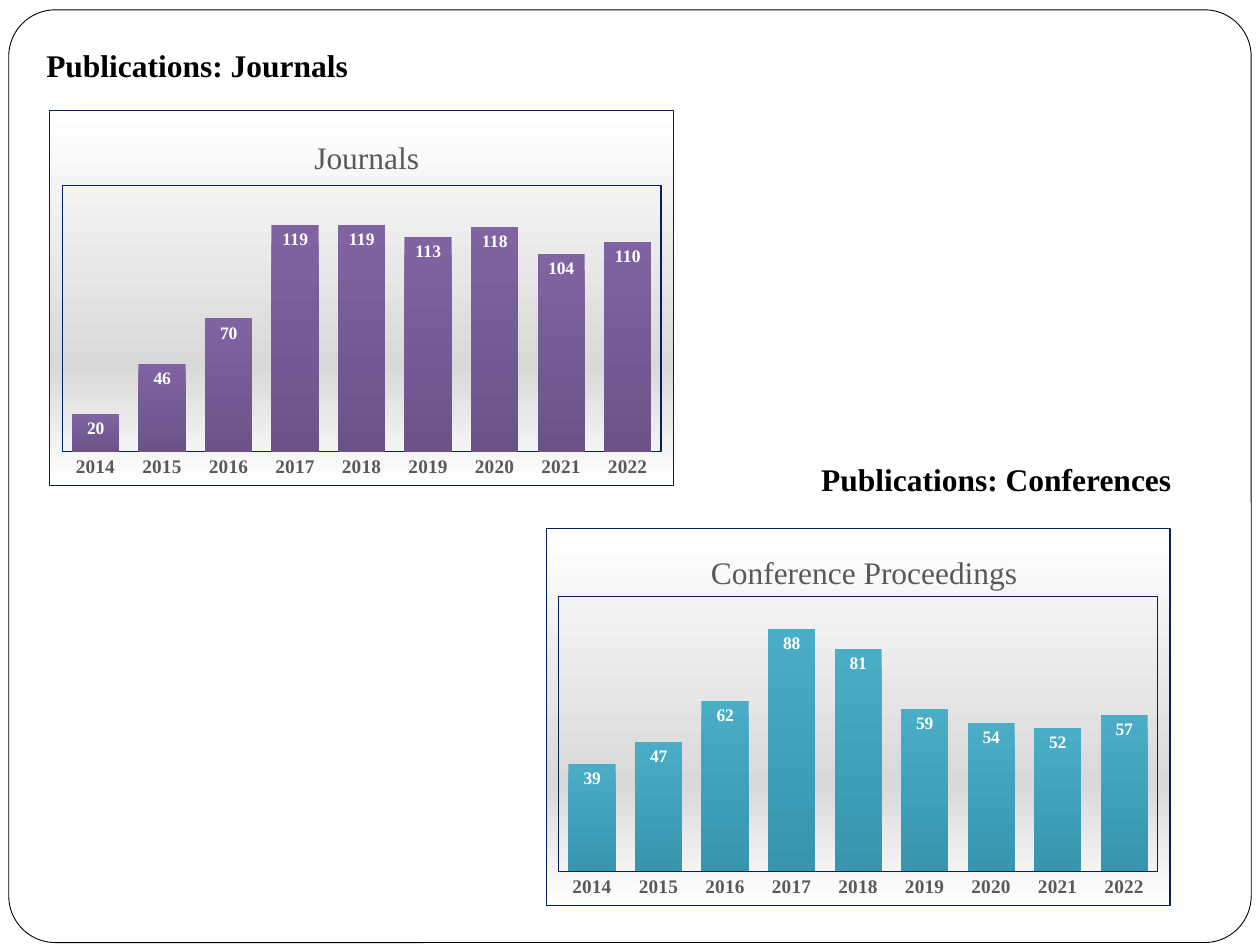
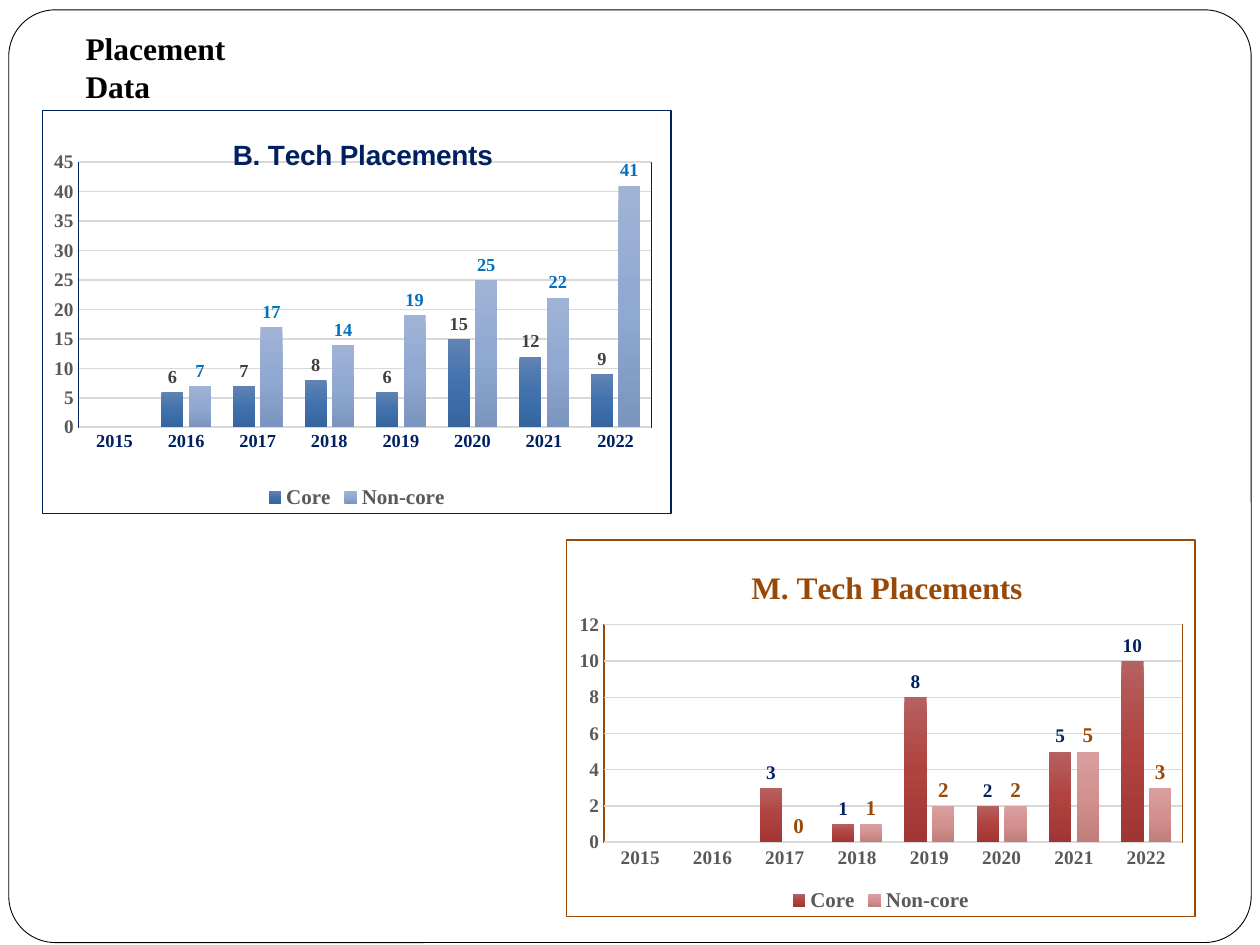
from dataclasses import dataclass
from typing import NamedTuple

from lxml import etree
from pptx import Presentation
from pptx.chart.data import CategoryChartData
from pptx.dml.color import RGBColor
from pptx.enum.chart import XL_CHART_TYPE as ChartType
from pptx.enum.chart import XL_LABEL_POSITION as LabelPosition
from pptx.enum.chart import XL_LEGEND_POSITION as LegendPosition
from pptx.enum.chart import XL_TICK_MARK as TickMark
from pptx.enum.shapes import MSO_SHAPE as Shape
from pptx.oxml import parse_xml
from pptx.oxml.ns import qn
from pptx.util import Pt


@dataclass(frozen=True)
class Theme:
    serif: str = "Times New Roman"
    sans: str = "Arial"
    black: str = "000000"
    white: str = "FFFFFF"
    grey: str = "595959"
    dark: str = "404040"
    grid: str = "D9D9D9"
    navy: str = "002060"
    blue: str = "0070C0"
    brown: str = "984807"
    heading: float = 18
    chart_title: float = 18
    small_title: float = 16
    legend: float = 12
    axis: float = 11
    label: float = 10
    placement_label: float = 10.5
    backdrop: tuple = ((0, "FFFFFF"), (68, "D9D9D9"), (100, "FFFFFF"))
    purple: tuple = ((0, "8064A2"), (100, "6B538A"))
    teal: tuple = ((0, "4BACC6"), (100, "3795AE"))
    core_blue: tuple = ((0, "6183B3"), (50, "4172AD"), (100, "36659E"))
    other_blue: tuple = ((0, "A0B3D5"), (50, "90A9D2"), (100, "7C95BE"))
    core_red: tuple = ((0, "B56160"), (50, "B0423F"), (100, "A03634"))
    other_red: tuple = ((0, "D7A09F"), (50, "D4908F"), (100, "C07D7B"))


class Box(NamedTuple):
    left: float
    top: float
    width: float
    height: float

    def points(self):
        return [Pt(length) for length in self]


class Title(NamedTuple):
    text: str
    x: float
    y: float
    color: str
    size: float
    bold: bool = False
    font: str = "Times New Roman"


class Bars(NamedTuple):
    name: str
    values: tuple
    stops: tuple
    label_color: str
    label_size: float


THEME = Theme()
SLIDE = Box(0, 0, 720, 540)
NAMESPACES = (
    'xmlns:a="http://schemas.openxmlformats.org/drawingml/2006/main" '
    'xmlns:c="http://schemas.openxmlformats.org/drawingml/2006/chart"'
)


def style_font(font, size, color, bold=True, name=THEME.serif):
    font.size = Pt(size)
    font.bold = bold
    font.name = name
    font.color.rgb = RGBColor.from_string(color)


def gradient_xml(stops):
    marks = "".join(
        f'<a:gs pos="{position * 1000}"><a:srgbClr val="{color}"/></a:gs>'
        for position, color in stops
    )
    return (f'<a:gradFill {NAMESPACES}><a:gsLst>{marks}</a:gsLst>'
            '<a:lin ang="5400000" scaled="0"/></a:gradFill>')


def area_format(fill_xml, border):
    return parse_xml(
        f'<c:spPr {NAMESPACES}>{fill_xml}<a:ln w="9525"><a:solidFill>'
        f'<a:srgbClr val="{border}"/></a:solidFill></a:ln></c:spPr>'
    )


def set_layout(parent, index, inner=False, **fractions):
    """Give a chart part a manual layout, in fractions of the chart."""
    for layout in parent.findall(qn("c:layout")):
        parent.remove(layout)
    layout = etree.Element(qn("c:layout"))
    manual = etree.SubElement(layout, qn("c:manualLayout"))
    if inner:
        etree.SubElement(manual, qn("c:layoutTarget"), val="inner")
    for side in "xy":
        etree.SubElement(manual, qn(f"c:{side}Mode"), val="edge")
    for side, fraction in fractions.items():
        etree.SubElement(manual, qn(f"c:{side}"), val=str(fraction))
    parent.insert(index, layout)


def add_frame(slide, box):
    frame = slide.shapes.add_shape(
        Shape.ROUNDED_RECTANGLE,
        *Box(box.left + 5, box.top + 5.6, box.width - 10, box.height - 7).points())
    frame.adjustments[0] = 0.05
    frame.shadow.inherit = False
    frame.fill.solid()
    frame.fill.fore_color.rgb = RGBColor.from_string(THEME.white)
    frame.line.color.rgb = RGBColor.from_string(THEME.black)
    frame.line.width = Pt(0.5)


def add_heading(slide, box, text, wrap=False):
    text_frame = slide.shapes.add_textbox(*box.points()).text_frame
    text_frame.word_wrap = wrap
    text_frame.text = text
    style_font(text_frame.paragraphs[0].runs[0].font, THEME.heading, THEME.black)


def add_column_chart(slide, box, title, categories, bars, plot_box, border,
                     gap, overlap=0, backdrop=None):
    """Place a framed column chart with a title; return the chart."""
    data = CategoryChartData()
    data.categories = categories
    for group in bars:
        data.add_series(group.name, group.values)
    chart = slide.shapes.add_chart(
        ChartType.COLUMN_CLUSTERED, *box.points(), data).chart
    style_font(chart.font, THEME.label, THEME.black, False)
    chart.has_legend = False

    # Title
    text_frame = chart.chart_title.text_frame
    text_frame.text = title.text
    style_font(text_frame.paragraphs[0].runs[0].font,
               title.size, title.color, title.bold, title.font)
    set_layout(chart.chart_title._element, 1, x=title.x, y=title.y)

    # Columns and their values
    plot = chart.plots[0]
    plot.gap_width = gap
    plot.overlap = overlap
    plot.vary_by_categories = False
    for series, group in zip(plot.series, bars):
        series.invert_if_negative = False
        series._element.get_or_add_spPr().append(
            parse_xml(gradient_xml(group.stops)))
        labels = series.data_labels
        labels.show_value = True
        labels.position = (LabelPosition.INSIDE_END if len(bars) == 1
                           else LabelPosition.OUTSIDE_END)
        style_font(labels.font, group.label_size, group.label_color)

    # Axes
    for axis in (chart.category_axis, chart.value_axis):
        axis.major_tick_mark = axis.minor_tick_mark = TickMark.NONE
        axis.format.line.fill.background()
        axis.has_major_gridlines = False
        style_font(axis.tick_labels.font, THEME.axis, THEME.grey)
    chart.value_axis.minimum_scale = 0

    # Chart and plot areas
    plot_area = chart._chartSpace.chart.plotArea
    set_layout(plot_area, 0, inner=True, **plot_box)
    plot_area.append(area_format("<a:noFill/>", border))
    fill = (gradient_xml(backdrop) if backdrop else
            f'<a:solidFill><a:srgbClr val="{THEME.white}"/></a:solidFill>')
    chart._chartSpace.chart.addnext(area_format(fill, border))
    return chart


def add_publication_chart(slide, box, title, values, stops, plot_box, maximum):
    bars = [Bars("Series 1", values, stops, THEME.white, THEME.label)]
    years = [str(year) for year in range(2014, 2023)]
    chart = add_column_chart(slide, box, title, years, bars, plot_box,
                             THEME.navy, 41, backdrop=THEME.backdrop)
    chart.value_axis.maximum_scale = maximum
    chart.value_axis.visible = False


def add_placement_chart(slide, box, title, bars, plot_box, maximum, step):
    years = [str(year) for year in range(2015, 2023)]
    chart = add_column_chart(slide, box, title, years, bars, plot_box,
                             title.color, 100, overlap=-24)
    grid_color = RGBColor.from_string(THEME.grid)
    value_axis = chart.value_axis
    value_axis.maximum_scale = maximum
    value_axis.major_unit = step
    value_axis.has_major_gridlines = True
    for line, width in ((value_axis.major_gridlines.format.line, 0.75),
                        (chart.category_axis.format.line, 1)):
        line.color.rgb = grid_color
        line.width = Pt(width)
    chart.has_legend = True
    chart.legend.position = LegendPosition.BOTTOM
    chart.legend.include_in_layout = False
    style_font(chart.legend.font, THEME.legend, THEME.grey)
    return chart


def build_publications(slide):
    add_frame(slide, SLIDE)
    add_heading(slide, Box(19.4, 23, 187.2, 28.8), "Publications: Journals")
    add_heading(slide, Box(462.2, 259.2, 217.4, 28.8), "Publications: Conferences")
    add_publication_chart(
        slide, Box(28.1, 62.6, 357.1, 215.3),
        Title("Journals", 0.415, 0.06, THEME.grey, THEME.chart_title),
        (20, 46, 70, 119, 119, 113, 118, 104, 110), THEME.purple,
        dict(x=0.02, y=0.2, w=0.96, h=0.71), 140)
    add_publication_chart(
        slide, Box(311.8, 301.7, 357.1, 216),
        Title("Conference Proceedings", 0.255, 0.05, THEME.grey, THEME.chart_title),
        (39, 47, 62, 88, 81, 59, 54, 52, 57), THEME.teal,
        dict(x=0.02, y=0.18, w=0.96, h=0.73), 100)


def build_placements(slide):
    add_frame(slide, SLIDE)
    add_heading(slide, Box(41.8, 13, 130, 28.8), "Placement Data", wrap=True)
    bachelor = add_placement_chart(
        slide, Box(23.8, 62.6, 360, 231.1),
        Title("B. Tech Placements", 0.295, 0.055, THEME.navy,
              THEME.small_title, True, THEME.sans),
        [Bars("Core", (None, 6, 7, 8, 6, 15, 12, 9), THEME.core_blue,
              THEME.dark, THEME.placement_label),
         Bars("Non-core", (None, 7, 17, 14, 19, 25, 22, 41), THEME.other_blue,
              THEME.blue, THEME.placement_label)],
        dict(x=0.058, y=0.129, w=0.911, h=0.658), 45, 5)
    style_font(bachelor.category_axis.tick_labels.font,
               THEME.placement_label, THEME.navy)
    add_placement_chart(
        slide, Box(323.3, 308.2, 360, 216),
        Title("M. Tech Placements", 0.285, 0.06, THEME.brown,
              THEME.chart_title, True),
        [Bars("Core", (None, None, 3, 1, 8, 2, 5, 10), THEME.core_red,
              THEME.navy, THEME.axis),
         Bars("Non-core", (None, None, 0, 1, 2, 2, 5, 3), THEME.other_red,
              THEME.brown, THEME.legend)],
        dict(x=0.06, y=0.225, w=0.92, h=0.578), 12, 2)


def main():
    presentation = Presentation()
    presentation.slide_width = Pt(SLIDE.width)
    presentation.slide_height = Pt(SLIDE.height)
    blank = presentation.slide_layouts[6]
    for build in (build_publications, build_placements):
        build(presentation.slides.add_slide(blank))
    presentation.save("out.pptx")


if __name__ == "__main__":
    main()
